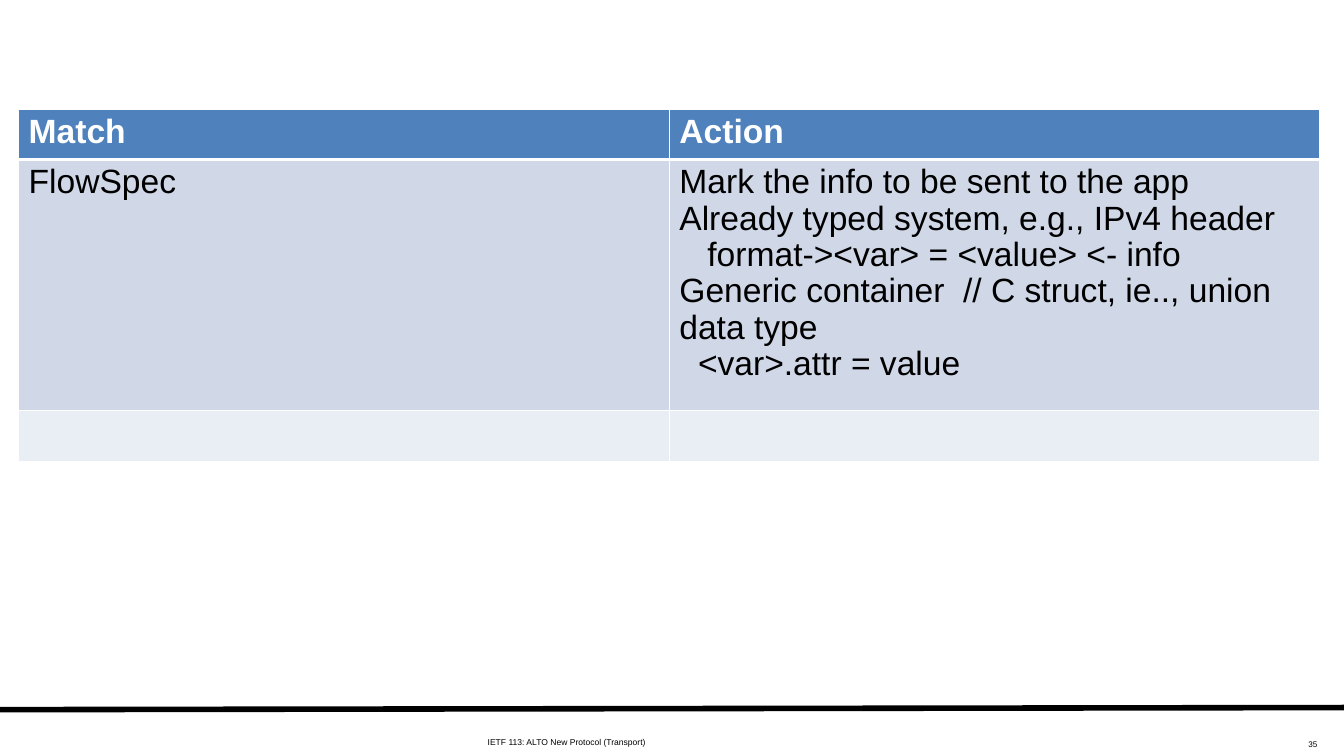
from lxml.etree import SubElement
from pptx import Presentation
from pptx.dml.color import RGBColor
from pptx.enum.shapes import MSO_CONNECTOR
from pptx.enum.text import PP_ALIGN
from pptx.oxml.ns import qn
from pptx.util import Pt

BLACK = RGBColor(0x00, 0x00, 0x00)
WHITE = RGBColor(0xFF, 0xFF, 0xFF)
HEADER_BLUE = RGBColor(0x4F, 0x81, 0xBD)
BAND_DARK = RGBColor(0xD0, 0xD8, 0xE8)
BAND_LIGHT = RGBColor(0xE9, 0xED, 0xF4)

HEADINGS = ["Match", "Action"]
FLOW_SPEC = "FlowSpec"
ACTIONS = [
    ("Mark the info to be sent to the app", 0),
    ("Already typed system, e.g., IPv4 header", 0),
    ("format-><var> = <value> <- info", 20),
    ("Generic container  // C struct, ie.., union data type", 0),
    ("<var>.attr = value", 13.3),
]


class SlideBuilder:
    """Draws the elements of one slide in a shared style."""

    font = "Arial"
    table_size = 24

    def __init__(self, slide):
        self.slide = slide

    def style(self, span, size, color, bold=False):
        span.font.name = self.font
        span.font.size = Pt(size)
        span.font.color.rgb = color
        span.font.bold = bold

    def rule(self, start, end, width):
        line = self.slide.shapes.add_connector(
            MSO_CONNECTOR.STRAIGHT, *map(Pt, start + end))
        line.line.color.rgb = BLACK
        line.line.width = Pt(width)
        SubElement(line._element.spPr, qn("a:effectLst"))

    def footer(self, text, place, size, align=PP_ALIGN.LEFT, wrap=True):
        box = self.slide.shapes.add_textbox(*map(Pt, place))
        box.text_frame.word_wrap = wrap
        box.text_frame.text = text
        para = box.text_frame.paragraphs[0]
        para.alignment = align
        span = para.runs[0]
        self.style(span, size, BLACK)
        span.font._element.set("baseline", "-25000")

    def table(self, left, top, column_widths, row_heights):
        frame = self.slide.shapes.add_table(
            len(row_heights), len(column_widths), Pt(left), Pt(top),
            Pt(sum(column_widths)), Pt(sum(row_heights)))
        for column, width in zip(frame.table.columns, column_widths):
            column.width = Pt(width)
        for row, height in zip(frame.table.rows, row_heights):
            row.height = Pt(height)
        return frame.table

    def cell(self, cell, lines, fill, color=BLACK, bold=False, top=1, bottom=1):
        for side, width in (("L", 1), ("R", 1), ("T", top), ("B", bottom)):
            border = SubElement(cell._tc.get_or_add_tcPr(), qn(f"a:ln{side}"),
                                w=str(Pt(width)))
            solid = SubElement(border, qn("a:solidFill"))
            SubElement(solid, qn("a:srgbClr"), val=str(WHITE))
        cell.fill.solid()
        cell.fill.fore_color.rgb = fill
        if not lines:
            return
        cell.text_frame.text = "\n".join(text for text, _ in lines)
        for para, (_, indent) in zip(cell.text_frame.paragraphs, lines):
            para.line_spacing = 0.97
            if indent:
                para._p.get_or_add_pPr().set("marL", str(Pt(indent)))
            self.style(para.runs[0], self.table_size, color, bold)


def main():
    deck = Presentation()
    deck.slide_width, deck.slide_height = Pt(960), Pt(540)
    page = SlideBuilder(deck.slides.add_slide(deck.slide_layouts[6]))

    page.rule((0, 506.9), (960, 505.4), 4)
    page.footer("IETF 113: ALTO New Protocol (Transport)",
                (341.3, 515.5, 213, 20), 10.5, wrap=False)
    page.footer("35", (748, 517.7, 200, 23.8), 10, PP_ALIGN.RIGHT)

    table = page.table(13.3, 78, [464.8, 464.8], [36, 179.5, 36.5])
    for column, heading in enumerate(HEADINGS):
        page.cell(table.cell(0, column), [(heading, 0)], HEADER_BLUE,
                  WHITE, bold=True, bottom=3)
    for column, lines in enumerate([[(FLOW_SPEC, 0)], ACTIONS]):
        page.cell(table.cell(1, column), lines, BAND_DARK, top=3)
        page.cell(table.cell(2, column), [], BAND_LIGHT)

    deck.save("out.pptx")


if __name__ == "__main__":
    main()
